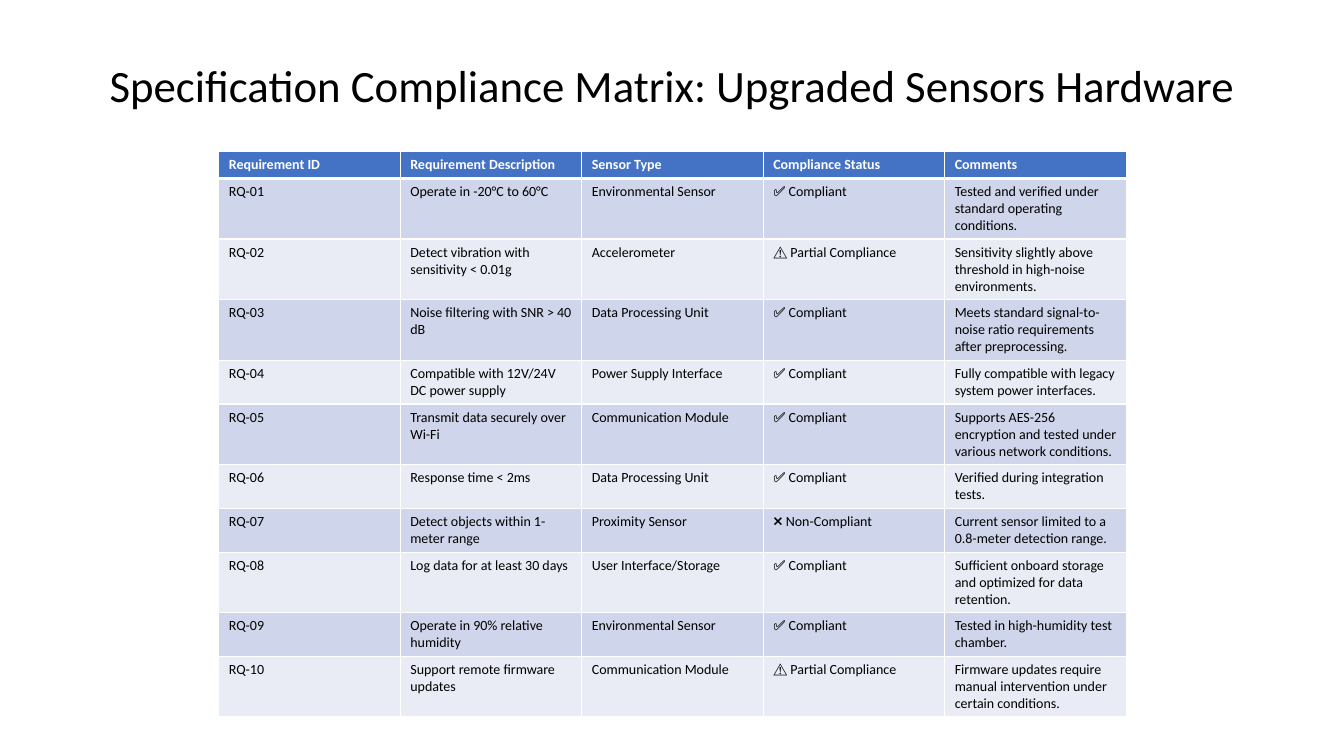
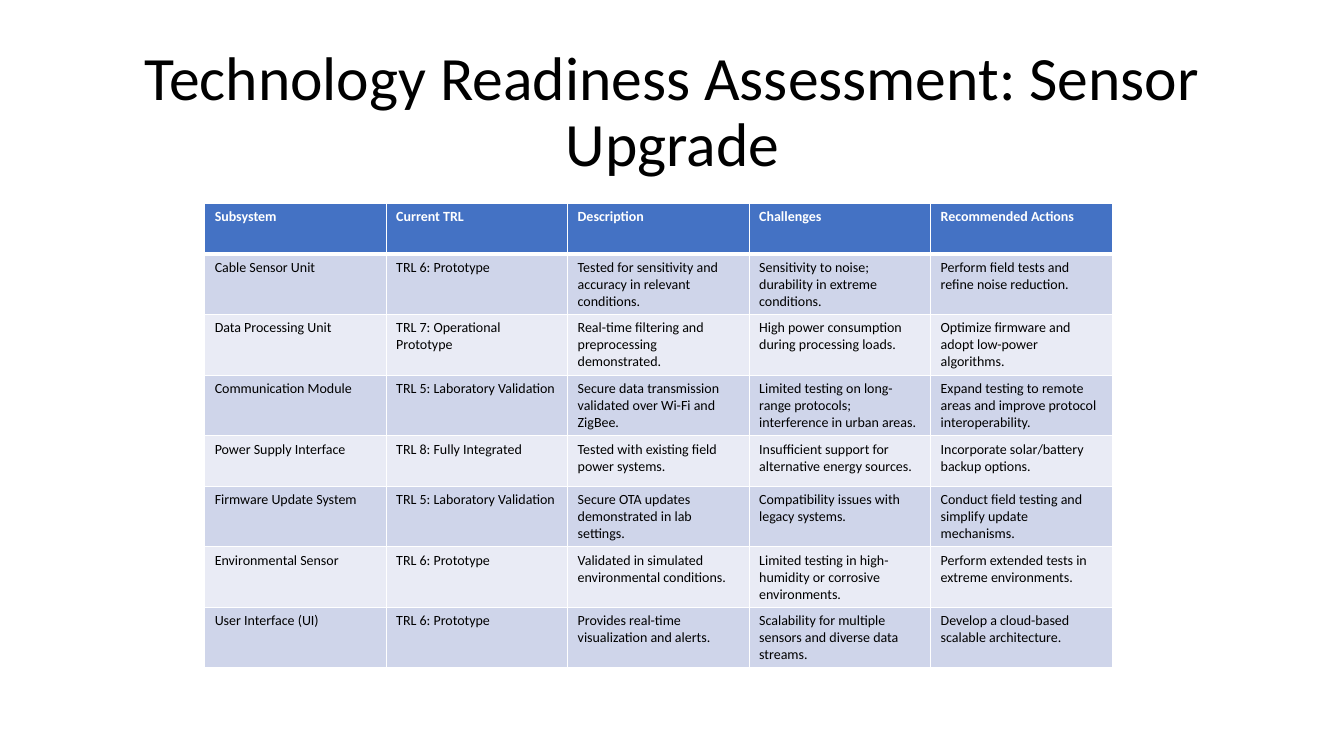
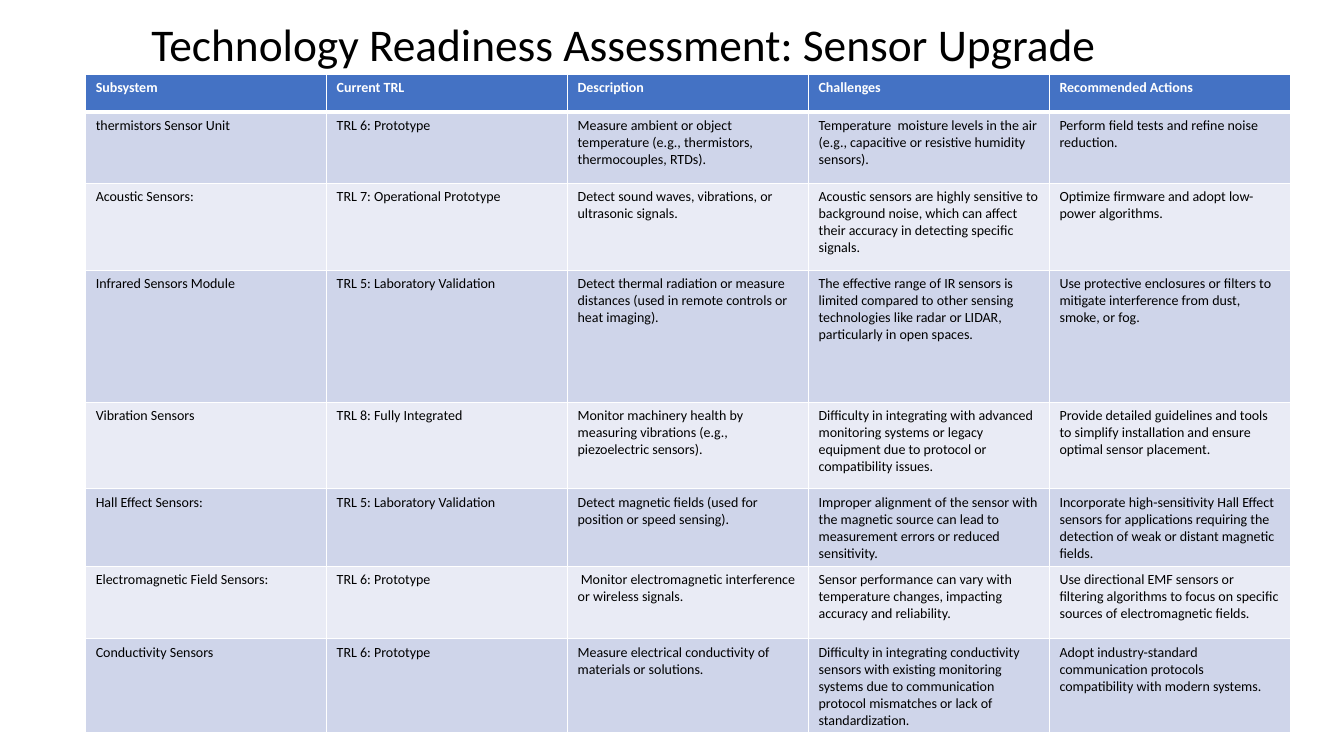
from lxml import etree
from pptx import Presentation
from pptx import util as u
from pptx.dml import color
from pptx.enum import text
from pptx.oxml import ns

SCALE = 9144


def px(size):
    """Turn whole px into EMU."""
    return u.Emu(size * SCALE)


def hue(code):
    """Turn a hex string into a colour."""
    return color.RGBColor.from_string(code)


def write(frame, words, size=10, ink="000000", bold=False, align=None, lead=None):
    """Put one formatted paragraph into a text frame."""
    para = frame.paragraphs[0]
    para.alignment = align
    para.line_spacing = lead
    run = para.add_run()
    run.text = words
    run.font.name = Deck.FONT
    run.font.size = u.Pt(size)
    run.font.bold = bold
    run.font.color.rgb = hue(ink)


class Deck:
    """Hold the shared style and the current slide."""

    FONT = "Calibri"
    WHITE = "FFFFFF"
    HEAD = "4472C4"
    BANDS = ("E9EBF5", "CFD5EA")

    def __init__(self):
        """Open an empty wide deck."""
        self.file = Presentation()
        self.file.slide_width = px(1333)
        self.file.slide_height = px(750)

    def page(self):
        """Start a slide on the blank layout."""
        self.slide = self.file.slides.add_slide(self.file.slide_layouts[6])
        fill = self.slide.background.fill
        fill.solid()
        fill.fore_color.rgb = hue(self.WHITE)

    def title(self, words, box, size):
        """Add a centred title."""
        frame = self.slide.shapes.add_textbox(*map(px, box)).text_frame
        frame.word_wrap = True
        frame.vertical_anchor = text.MSO_ANCHOR.MIDDLE
        write(frame, words, size=size, align=text.PP_ALIGN.CENTER, lead=0.9)

    def edge(self, cell, side, width):
        """Draw one white cell border."""
        props = cell._tc.get_or_add_tcPr()
        line = etree.SubElement(props, ns.qn("a:ln" + side), w=str(u.Pt(width)))
        fill = etree.SubElement(line, ns.qn("a:solidFill"))
        etree.SubElement(fill, ns.qn("a:srgbClr"), val=self.WHITE)

    def cell(self, cell, words, row):
        """Fill and frame one table cell."""
        head = row == 0
        for side in "LRTB":
            thick = (row, side) in ((0, "B"), (1, "T"))
            self.edge(cell, side, 3 if thick else 1)
        cell.fill.solid()
        cell.fill.fore_color.rgb = hue(self.HEAD if head else self.BANDS[row % 2])
        write(cell.text_frame, words, ink=self.WHITE if head else "000000", bold=head)

    def table(self, data, left, top, wide, highs):
        """Add a banded table with equal columns."""
        cols = len(data[0])
        shape = self.slide.shapes.add_table(
            len(data), cols, px(left), px(top), px(wide * cols), px(sum(highs)))
        grid = shape.table
        for col in grid.columns:
            col.width = px(wide)
        for row, (line, high) in enumerate(zip(data, highs)):
            grid.rows[row].height = px(high)
            for col, words in enumerate(line):
                self.cell(grid.cell(row, col), words, row)


YES = "✅ Compliant"
PART = "⚠ Partial Compliance"
NO = "❌ Non-Compliant"
LAB = "TRL 5: Laboratory Validation"
PROTO = "TRL 6: Prototype"
OPER = "TRL 7: Operational Prototype"
FULL = "TRL 8: Fully Integrated"
READY = "Technology Readiness Assessment: Sensor Upgrade"
HEADS = ("Subsystem", "Current TRL", "Description", "Challenges", "Recommended Actions")

NEEDS = [
    ("Operate in -20°C to 60°C", "Environmental Sensor", YES,
     "Tested and verified under standard operating conditions."),
    ("Detect vibration with sensitivity < 0.01g", "Accelerometer", PART,
     "Sensitivity slightly above threshold in high-noise environments."),
    ("Noise filtering with SNR > 40 dB", "Data Processing Unit", YES,
     "Meets standard signal-to-noise ratio requirements after preprocessing."),
    ("Compatible with 12V/24V DC power supply", "Power Supply Interface", YES,
     "Fully compatible with legacy system power interfaces."),
    ("Transmit data securely over Wi-Fi", "Communication Module", YES,
     "Supports AES-256 encryption and tested under various network conditions."),
    ("Response time < 2ms", "Data Processing Unit", YES,
     "Verified during integration tests."),
    ("Detect objects within 1-meter range", "Proximity Sensor", NO,
     "Current sensor limited to a 0.8-meter detection range."),
    ("Log data for at least 30 days", "User Interface/Storage", YES,
     "Sufficient onboard storage and optimized for data retention."),
    ("Operate in 90% relative humidity", "Environmental Sensor", YES,
     "Tested in high-humidity test chamber."),
    ("Support remote firmware updates", "Communication Module", PART,
     "Firmware updates require manual intervention under certain conditions."),
]
MATRIX = [("Requirement ID", "Requirement Description", "Sensor Type",
           "Compliance Status", "Comments")]
MATRIX += [(f"RQ-{num:02}", *need) for num, need in enumerate(NEEDS, 1)]

UNITS = [
    HEADS,
    ("Cable Sensor Unit", PROTO,
     "Tested for sensitivity and accuracy in relevant conditions.",
     "Sensitivity to noise; durability in extreme conditions.",
     "Perform field tests and refine noise reduction."),
    ("Data Processing Unit", OPER,
     "Real-time filtering and preprocessing demonstrated.",
     "High power consumption during processing loads.",
     "Optimize firmware and adopt low-power algorithms."),
    ("Communication Module", LAB,
     "Secure data transmission validated over Wi-Fi and ZigBee.",
     "Limited testing on long-range protocols; interference in urban areas.",
     "Expand testing to remote areas and improve protocol interoperability."),
    ("Power Supply Interface", FULL,
     "Tested with existing field power systems.",
     "Insufficient support for alternative energy sources.",
     "Incorporate solar/battery backup options."),
    ("Firmware Update System", LAB,
     "Secure OTA updates demonstrated in lab settings.",
     "Compatibility issues with legacy systems.",
     "Conduct field testing and simplify update mechanisms."),
    ("Environmental Sensor", PROTO,
     "Validated in simulated environmental conditions.",
     "Limited testing in high-humidity or corrosive environments.",
     "Perform extended tests in extreme environments."),
    ("User Interface (UI)", PROTO,
     "Provides real-time visualization and alerts.",
     "Scalability for multiple sensors and diverse data streams.",
     "Develop a cloud-based scalable architecture."),
]

SENSORS = [
    HEADS,
    ("thermistors Sensor Unit", PROTO,
     "Measure ambient or object temperature (e.g., thermistors, thermocouples, RTDs).",
     "Temperature  moisture levels in the air (e.g., capacitive or resistive "
     "humidity sensors).",
     "Perform field tests and refine noise reduction."),
    ("Acoustic Sensors:", OPER,
     "Detect sound waves, vibrations, or ultrasonic signals.",
     "Acoustic sensors are highly sensitive to background noise, which can affect "
     "their accuracy in detecting specific signals.",
     "Optimize firmware and adopt low-power algorithms."),
    ("Infrared Sensors Module", LAB,
     "Detect thermal radiation or measure distances (used in remote controls or "
     "heat imaging).",
     "The effective range of IR sensors is limited compared to other sensing "
     "technologies like radar or LIDAR, particularly in open spaces.",
     "Use protective enclosures or filters to mitigate interference from dust, "
     "smoke, or fog."),
    ("Vibration Sensors", FULL,
     "Monitor machinery health by measuring vibrations (e.g., piezoelectric sensors).",
     "Difficulty in integrating with advanced monitoring systems or legacy "
     "equipment due to protocol or compatibility issues.",
     "Provide detailed guidelines and tools to simplify installation and ensure "
     "optimal sensor placement."),
    ("Hall Effect Sensors:", LAB,
     "Detect magnetic fields (used for position or speed sensing).",
     "Improper alignment of the sensor with the magnetic source can lead to "
     "measurement errors or reduced sensitivity.",
     "Incorporate high-sensitivity Hall Effect sensors for applications requiring "
     "the detection of weak or distant magnetic fields."),
    ("Electromagnetic Field Sensors:", PROTO,
     " Monitor electromagnetic interference or wireless signals.",
     "Sensor performance can vary with temperature changes, impacting accuracy "
     "and reliability.",
     "Use directional EMF sensors or filtering algorithms to focus on specific "
     "sources of electromagnetic fields."),
    ("Conductivity Sensors", PROTO,
     "Measure electrical conductivity of materials or solutions.",
     "Difficulty in integrating conductivity sensors with existing monitoring "
     "systems due to communication protocol mismatches or lack of standardization.",
     "Adopt industry-standard communication protocols compatibility with modern "
     "systems."),
]


def main():
    """Build and save the three slides."""
    deck = Deck()
    deck.page()
    deck.title("Specification Compliance Matrix: Upgraded Sensors Hardware",
               (92, 15, 1150, 145), 32)
    deck.table(MATRIX, 217, 150, 180, [27] * len(MATRIX))
    deck.page()
    deck.title(READY, (92, 40, 1150, 145), 44)
    deck.table(UNITS, 203, 202, 180, [50] * len(UNITS))
    deck.page()
    deck.title(READY, (97, 0, 1043, 92), 32.4)
    deck.table(SENSORS, 85, 74, 239, [37, 71, 86, 131, 86, 72, 72, 88])
    deck.file.save("out.pptx")


if __name__ == "__main__":
    main()
